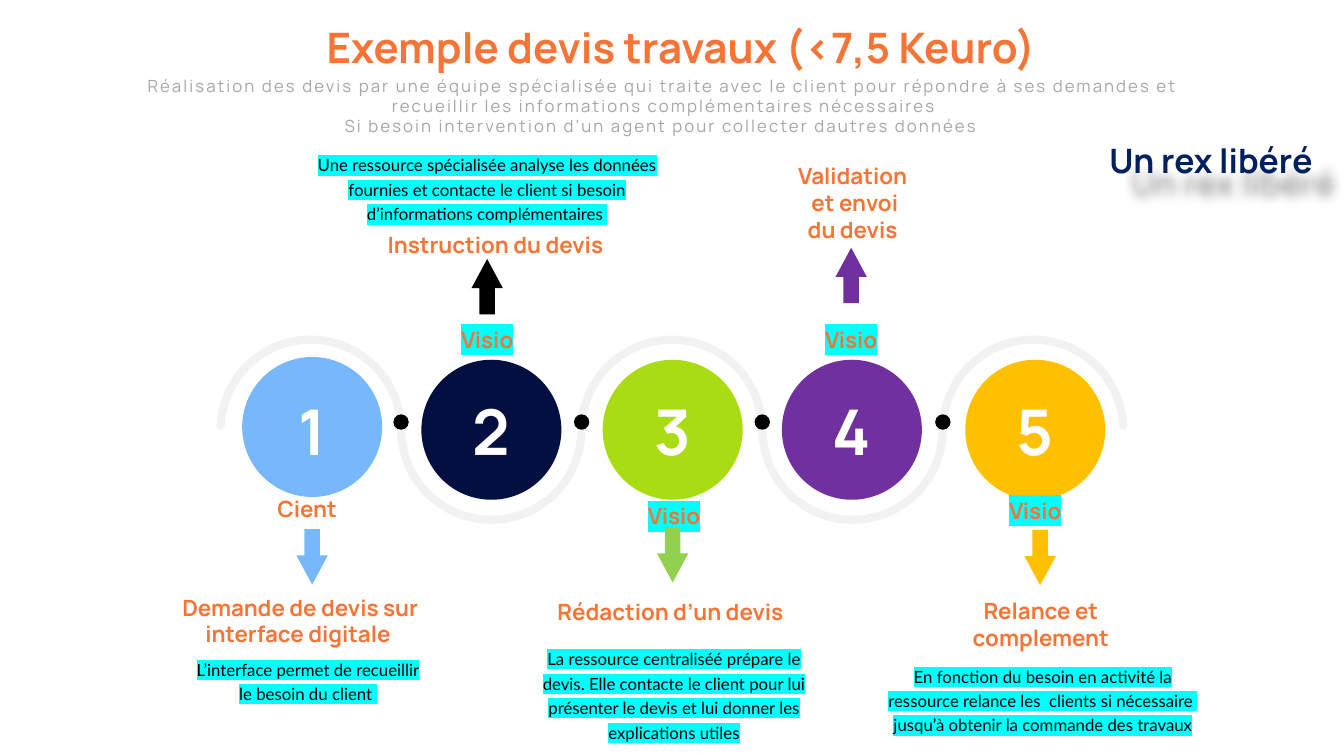
from dataclasses import dataclass
from math import asin, cos, pi, sin

from lxml.etree import SubElement
from pptx import Presentation
from pptx.dml.color import RGBColor
from pptx.enum.shapes import MSO_SHAPE as Shape
from pptx.enum.text import MSO_ANCHOR as Anchor, PP_ALIGN as Align
from pptx.oxml.ns import qn
from pptx.util import Pt


@dataclass(frozen=True)
class Theme:
    display: str = "Manrope"
    body: str = "Lato"
    orange: str = "F67536"
    grey: str = "A6A6A6"
    ribbon: str = "F2F2F2"
    black: str = "000000"
    white: str = "FFFFFF"
    navy: str = "002060"
    cyan: str = "00FFFF"
    title_size: int = 30
    heading_size: int = 16
    body_size: int = 12
    number_size: int = 45
    badge_size: int = 24


T = Theme()
PITCH = 129
CIRCLE = 100
DOT = 11
ARROW_W, ARROW_H = 22.4, 39.6
TAG_W, TAG_H = 142.5, 26.6
RADIUS, HALF = 64.4, 2.9

STEPS = [
    dict(color="77B7FC", circle=(1, -2), tag="Cient ", tag_at=(-1, 43),
         arrow="77B7FC", arrow_at=(1, 71),
         heading="Demande de devis sur interface digitale ",
         heading_at=(-7.5, 113, 213, 46),
         body="L’interface permet de recueillir le besoin du client ",
         body_at=(-2, 159, 169, 38)),
    dict(color="030F40", circle=(0, 0), tag="Visio", tag_at=(-3, -78),
         arrow="000000", arrow_at=(-3, -122),
         heading="Instruction du devis ",
         heading_at=(4.5, -146, 183, 27),
         body="Une ressource spécialisée analyse les données fournies et contacte "
              "le client si besoin d’informations complémentaires ",
         body_at=(-3, -201, 258, 56)),
    dict(color="AADC14", circle=(0.5, 0), tag="Visio", tag_at=(1.5, 48),
         arrow="92D050", arrow_at=(0.5, 69.5),
         heading="Rédaction d’un devis ",
         heading_at=(0.5, 116, 192, 27),
         body="La ressource centraliséé prépare le devis. Elle contacte le client "
              "pour lui présenter le devis et lui donner les explications utiles",
         body_at=(1.5, 151.5, 200, 74)),
    dict(color="7030A0", circle=(-0.5, 0), tag="Visio", tag_at=(-1, -78),
         arrow="7030A0", arrow_at=(-1, -130),
         heading="Validation\n et envoi\ndu devis",
         heading_at=(0, -195, 101.5, 65)),
    dict(color="FFC000", circle=(1.5, 0), tag="Visio", tag_at=(1.5, 44),
         arrow="FFC000", arrow_at=(5, 71.5),
         heading="Relance et complement",
         heading_at=(5.5, 115.5, 142, 46),
         body="En fonction du besoin en activité la ressource relance les  clients "
              "si nécessaire  jusqu’à obtenir la commande des travaux",
         body_at=(7, 164, 235.5, 56)),
]


def rgb(color):
    return RGBColor.from_string(color)


def paint(sp, color):
    sp.shadow.inherit = False
    sp.fill.solid()
    sp.fill.fore_color.rgb = rgb(color)
    sp.line.fill.background()
    return sp


def add_preset(s, kind, cx, y, w, h, color):
    return paint(s.shapes.add_shape(kind, Pt(cx - w / 2), Pt(y), Pt(w), Pt(h)), color)


def add_highlight(r, color):
    mark = SubElement(r.font._element, qn("a:highlight"))
    SubElement(mark, qn("a:srgbClr")).set("val", color)
    r.font._element.find(qn("a:solidFill")).addnext(mark)


def add_text(s, cx, y, w, h, text, size, color, font=T.display, bold=True,
             anchor=Anchor.TOP, wrap=True, inset=(7.2, 3.6), leading=None,
             highlight=None, tracking=None):
    sp = s.shapes.add_textbox(Pt(cx - w / 2), Pt(y), Pt(w), Pt(h))
    tf = sp.text_frame
    tf.text = text
    tf.word_wrap = wrap
    tf.vertical_anchor = anchor
    tf.margin_left = tf.margin_right = Pt(inset[0])
    tf.margin_top = tf.margin_bottom = Pt(inset[1])
    for p in tf.paragraphs:
        p.alignment = Align.CENTER
        if leading:
            p.line_spacing = Pt(leading)
        for r in p.runs:
            r.font.name = font
            r.font.size = Pt(size)
            r.font.bold = bold
            r.font.color.rgb = rgb(color)
            if highlight:
                add_highlight(r, highlight)
            if tracking:
                r.font._element.set("spc", str(int(tracking * 100)))
    return sp


def add_header(s, x, y, w):
    cx = x + w / 2
    add_text(s, cx + 12.5, y, 564, 44, "Exemple devis travaux (<7,5 Keuro)",
             T.title_size, T.orange, wrap=False)
    add_text(s, cx, y + 39, w, 51,
             "Réalisation des devis par une équipe spécialisée qui traite avec le client "
             "pour répondre à ses demandes et recueillir les informations "
             "complémentaires nécessaires\n"
             "Si besoin intervention d’un agent pour collecter dautres données ",
             T.body_size, T.grey, bold=False, tracking=1.5)


def add_badge(s, x, y, w, h):
    sp = add_text(s, x + w / 2, y, w, h, "Un rex libéré", T.badge_size, T.navy,
                  anchor=Anchor.BOTTOM)
    effects = SubElement(sp._element.spPr, qn("a:effectLst"))
    shadow = SubElement(effects, qn("a:outerShdw"), blurRad=str(Pt(8)),
                        dist=str(Pt(22)), dir="2700000", algn="tl", rotWithShape="0")
    tint = SubElement(shadow, qn("a:srgbClr"), val=T.black)
    SubElement(tint, qn("a:alpha"), val="40000")


def arc(cx, cy, radius, start, end, count=32):
    angles = [start + (end - start) * i / count for i in range(count + 1)]
    return [(cx + radius * cos(a), cy - radius * sin(a)) for a in angles]


def add_ribbon(s, x, y, count):
    trim = asin(HALF / RADIUS)
    sides = {1: [], -1: []}
    for i in range(count):
        up = 1 if i % 2 == 0 else -1
        start = pi - trim if i == 0 else pi
        end = trim if i == count - 1 else 0
        for side in sides:
            sides[side] += arc(x + PITCH * i, y, RADIUS + side * up * HALF,
                               up * start, up * end)
    right = x + PITCH * (count - 1) + RADIUS
    cap_right = arc(right, y - HALF, HALF, 0, -pi, 8)
    cap_left = arc(x - RADIUS, y - HALF, HALF, 0, -pi, 8)
    points = sides[1] + cap_right + sides[-1][::-1] + cap_left
    (x0, y0), *rest = [(round(px * 100), round(py * 100)) for px, py in points]
    fb = s.shapes.build_freeform(x0, y0, scale=Pt(1) / 100)
    fb.add_line_segments(rest, close=True)
    paint(fb.convert_to_shape(), T.ribbon)


def add_step(s, cx, cy, number, step):
    dx, dy = step["circle"]
    add_preset(s, Shape.OVAL, cx + dx, cy + dy - CIRCLE / 2, CIRCLE, CIRCLE, step["color"])
    add_text(s, cx + dx, cy - 31, 45, 62, str(number), T.number_size, T.white,
             anchor=Anchor.MIDDLE, wrap=False)

    dx, dy = step["tag_at"]
    add_text(s, cx + dx, cy + dy, TAG_W, TAG_H, step["tag"], T.heading_size, T.orange,
             anchor=Anchor.BOTTOM, highlight=T.cyan if step["tag"] == "Visio" else None)

    dx, dy = step["arrow_at"]
    kind = Shape.UP_ARROW if dy < 0 else Shape.DOWN_ARROW
    arrow = add_preset(s, kind, cx + dx, cy + dy, ARROW_W, ARROW_H, step["arrow"])
    arrow.adjustments[0] = 0.5
    arrow.adjustments[1] = 0.93

    dx, dy, w, h = step["heading_at"]
    add_text(s, cx + dx, cy + dy, w, h, step["heading"], T.heading_size, T.orange,
             anchor=Anchor.BOTTOM, wrap=h > 30)

    if "body" in step:
        dx, dy, w, h = step["body_at"]
        add_text(s, cx + dx, cy + dy, w, h, step["body"], T.body_size, T.black,
                 font=T.body, bold=False, inset=(3.6, 1.8), leading=17.5,
                 highlight=T.cyan)


def add_process(s, x, y):
    add_ribbon(s, x, y, len(STEPS))
    for i in range(len(STEPS) - 1):
        add_preset(s, Shape.OVAL, x + PITCH * (i + 0.5), y - 11, DOT, DOT, T.black)
    for i, step in enumerate(STEPS):
        add_step(s, x + PITCH * i, y, i + 1, step)


def main():
    prs = Presentation()
    prs.slide_width, prs.slide_height = Pt(960), Pt(540)
    s = prs.slides.add_slide(prs.slide_layouts[6])
    add_header(s, 85.5, 11.5, 777)
    add_process(s, 222, 307)
    add_badge(s, 780.5, 96.5, 169, 36)
    prs.save("out.pptx")


if __name__ == "__main__":
    main()
